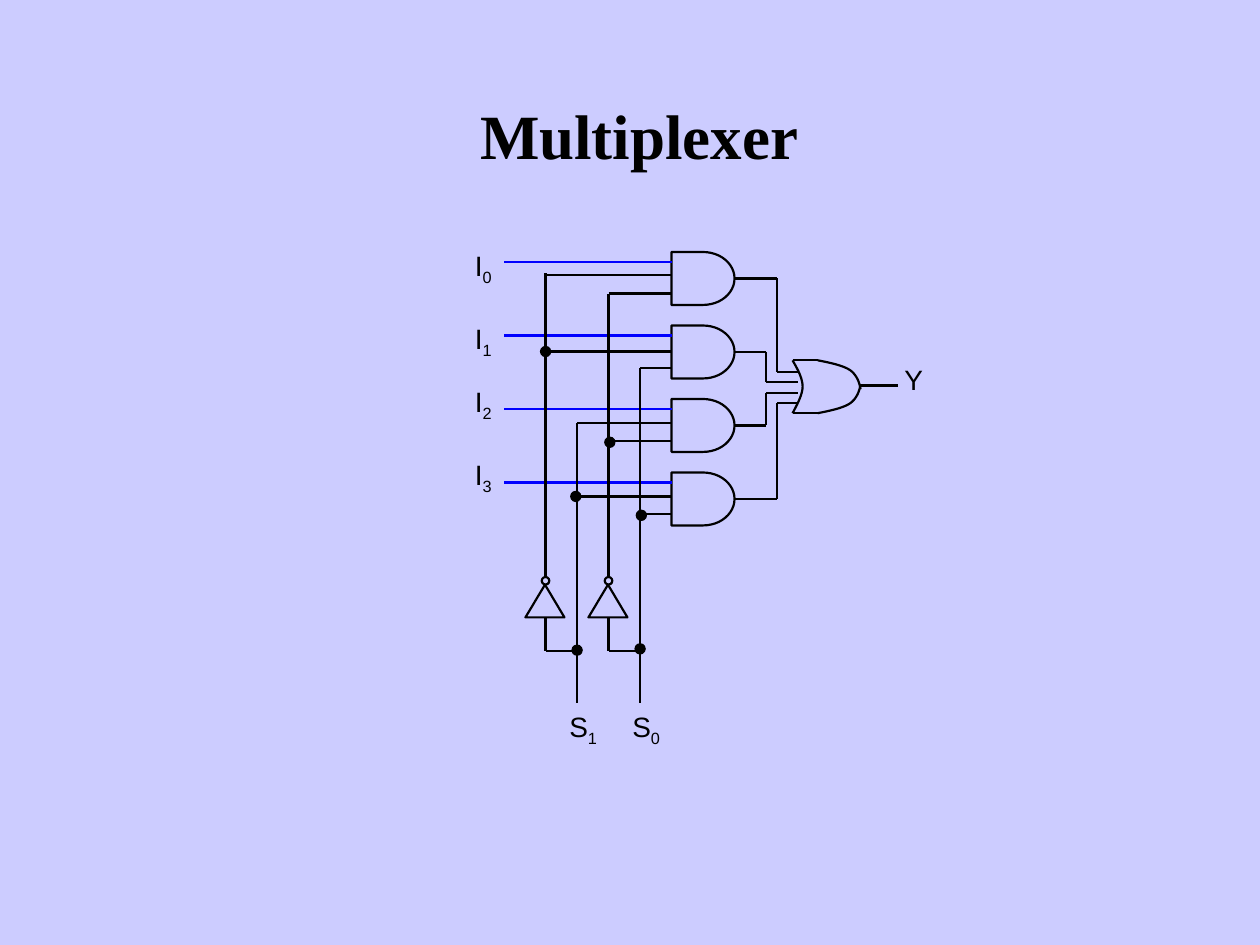
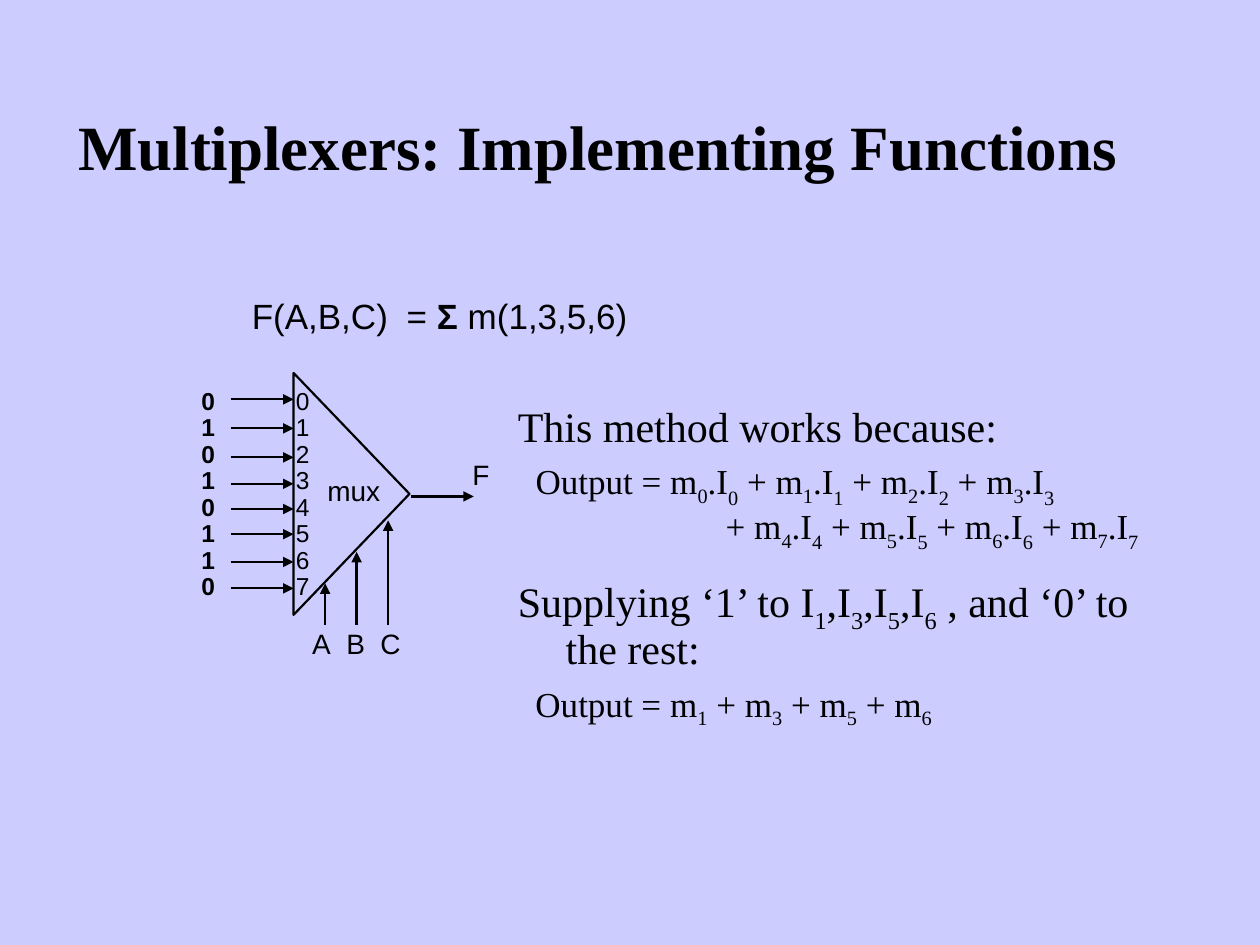
"""Build two slides on multiplexers: the gate circuit and a function built with one."""
from dataclasses import dataclass, field
from typing import Any, NamedTuple

from lxml.etree import SubElement
from pptx import Presentation
from pptx.dml.color import RGBColor
from pptx.enum.shapes import MSO_CONNECTOR as Link, MSO_SHAPE as Geo
from pptx.enum.text import MSO_ANCHOR as Anchor, MSO_AUTO_SIZE as Fit, PP_ALIGN as Align
from pptx.oxml.ns import qn
from pptx.util import Inches, Pt


class Style(NamedTuple):
    size: float
    face: str
    bold: bool = False


@dataclass(frozen=True)
class Theme:
    back: RGBColor = RGBColor(0xCC, 0xCC, 0xFF)
    ink: RGBColor = RGBColor(0, 0, 0)
    data: RGBColor = RGBColor(0, 0, 0xFF)
    wire: float = 1.25
    dot: float = 0.75
    title: Style = Style(36, "Times New Roman", True)
    point: Style = Style(24, "Times New Roman")
    equation: Style = Style(20, "Times New Roman")
    formula: Style = Style(20, "Arial")
    sigma: Style = Style(20, "Arial", True)
    label: Style = Style(16, "Arial")
    index: Style = Style(14, "Arial")
    value: Style = Style(14, "Arial", True)


THEME = Theme()
SUBSCRIPTS = {"_": "-25000", "~": "-30000"}


class Box(NamedTuple):
    x: float
    y: float
    w: float
    h: float


class Wire(NamedTuple):
    x1: float
    y1: float
    x2: float
    y2: float


class Label(NamedTuple):
    text: str
    box: Box


@dataclass(frozen=True)
class Para:
    text: str
    style: Style
    left: float = 0
    indent: float = 0
    fmt: dict[str, Any] = field(default_factory=dict)


def apply(target: Any, values: dict[str, Any]) -> None:
    """Set each named attribute on the target."""
    for name, value in values.items():
        setattr(target, name, value)


def place(shape: Any, box: Box) -> None:
    """Move and size a shape."""
    apply(shape, dict(zip(("left", "top", "width", "height"), map(Inches, box))))


def add_run(p: Any, text: str, style: Style, baseline: str = "") -> None:
    """Add one formatted run, skipping empty text."""
    if not text:
        return
    r = p.add_run()
    r.text = text
    apply(r.font, {"size": Pt(style.size), "name": style.face, "bold": style.bold})
    r.font.color.rgb = THEME.ink
    if baseline:
        r.font._element.set("baseline", baseline)


def add_marked(p: Any, text: str, style: Style) -> None:
    """Add text in which a mark lowers the next character and a newline breaks the line."""
    for number, line in enumerate(text.split("\n")):
        if number:
            p.add_line_break()
        for mark in SUBSCRIPTS:
            line = line.replace(mark, f"|{mark}")
        for chunk in line.split("|"):
            if chunk[:1] in SUBSCRIPTS:
                add_run(p, chunk[1], style, SUBSCRIPTS[chunk[0]])
                chunk = chunk[2:]
            add_run(p, chunk, style)


def add_tabs(p: Any, stops: tuple[float, ...]) -> None:
    """Give a paragraph left tab stops."""
    tabs = SubElement(p._p.get_or_add_pPr(), qn("a:tabLst"))
    for stop in stops:
        SubElement(tabs, qn("a:tab"), pos=str(Inches(stop)), algn="l")


def fill_frame(tf: Any, paras: list[Para]) -> None:
    """Write paragraphs into a text frame."""
    for i, para in enumerate(paras):
        p = tf.add_paragraph() if i else tf.paragraphs[0]
        ppr = p._p.get_or_add_pPr()
        ppr.set("marL", str(Inches(para.left)))
        ppr.set("indent", str(Inches(para.indent)))
        SubElement(ppr, qn("a:buNone"))
        apply(p, {"space_before": Pt(0), **para.fmt})
        add_marked(p, para.text, para.style)


def add_box(s: Any, box: Box) -> Any:
    """Add a wrapping text box that grows and return its frame."""
    tf = s.shapes.add_textbox(*map(Inches, box)).text_frame
    apply(tf, {"word_wrap": True, "auto_size": Fit.SHAPE_TO_FIT_TEXT})
    return tf


def add_label(s: Any, label: Label) -> Any:
    """Add a one-line label and return its paragraph."""
    tf = add_box(s, label.box)
    add_marked(tf.paragraphs[0], label.text, THEME.label)
    return tf.paragraphs[0]


def add_shape(s: Any, geo: Geo, box: Box, solid: bool = False, turn: float = 0) -> Any:
    """Add an outlined preset shape, filled with ink if solid."""
    sp = s.shapes.add_shape(geo, *map(Inches, box))
    sp.rotation = turn
    outline(sp, THEME.dot if solid else THEME.wire)
    if solid:
        sp.fill.solid()
        sp.fill.fore_color.rgb = THEME.ink
    return sp


def outline(sp: Any, width: float) -> None:
    """Leave only an ink outline on a shape."""
    sp.shadow.inherit = False
    sp.fill.background()
    sp.line.color.rgb = THEME.ink
    sp.line.width = Pt(width)


def add_wire(s: Any, wire: Wire, color: RGBColor = THEME.ink, arrow: bool = False) -> Any:
    """Add a straight connector, with an arrowhead at its end if asked."""
    cx = s.shapes.add_connector(Link.STRAIGHT, *map(Inches, wire))
    cx.line.color.rgb = color
    cx.line.width = Pt(THEME.wire)
    props = cx._element.spPr
    if arrow:
        SubElement(props.find(qn("a:ln")), qn("a:tailEnd"), type="triangle")
    SubElement(props, qn("a:effectLst"))
    return cx


def add_curve(s: Any, *points: tuple[float, float], steps: int = 10) -> None:
    """Draw chained cubic curves through a start point and triples of points."""
    track = []
    for k in range(0, len(points) - 1, 3):
        for n in range(1, steps + 1):
            t = n / steps
            weights = ((1 - t) ** 3, 3 * t * (1 - t) ** 2, 3 * t * t * (1 - t), t ** 3)
            track.append(tuple(
                Inches(sum(w * pt[axis] for w, pt in zip(weights, points[k:k + 4])))
                for axis in (0, 1)))
    builder = s.shapes.build_freeform(*map(Inches, points[0]))
    builder.add_line_segments(track, close=False)
    outline(builder.convert_to_shape(), THEME.wire)


def add_slide(prs: Any, layout: int, box: Box, title: Para) -> Any:
    """Add a slide with its title placed and formatted."""
    s = prs.slides.add_slide(prs.slide_layouts[layout])
    place(s.shapes.title, box)
    tf = s.shapes.title.text_frame
    apply(tf, {"vertical_anchor": Anchor.BOTTOM, "auto_size": Fit.NONE, "word_wrap": True})
    fill_frame(tf, [title])
    return s


def draw_or_gate(s: Any) -> None:
    """Draw the output gate, its lower half mirroring the upper."""
    top, bottom = 2.86, 3.28
    add_curve(s, (6.29, top), (6.33, 2.93), (6.37, 3), (6.37, 3.07),
              (6.37, 3.14), (6.31, 3.24), (6.29, bottom))
    nose = [(6.49, top), (6.59, 2.88), (6.69, 2.9), (6.75, 2.94),
            (6.8, 2.98), (6.82, 3.03), (6.83, 3.09)]
    add_curve(s, *nose)
    add_curve(s, *((x, top + bottom - y) for x, y in nose))
    for y in (top, bottom):
        add_wire(s, Wire(6.29, y, 6.49, y))


def build_circuit(prs: Any) -> None:
    """Build the four-input multiplexer circuit."""
    s = add_slide(prs, 5, Box(1.08, 0.17, 8.5, 1.25),
                  Para("Multiplexer", THEME.title, left=2.63, fmt={"alignment": Align.LEFT}))
    gate_x, gate_w, gate_h = 5.33, 0.5, 0.42
    label_tops = (1.92, 2.5, 3, 3.58)
    bends = ((6.17, 2.95), (6.08, 3.03), (6.08, 3.12), (6.17, 3.2))
    for i, (label_y, (bend_x, or_y)) in enumerate(zip(label_tops, bends)):
        top = 2 + i * 7 / 12
        out_y = top + gate_h / 2
        gate = add_shape(s, Geo.FLOWCHART_DELAY, Box(gate_x, top, gate_w, gate_h))
        add_wire(s, Wire(4, top + 0.08, gate_x, top + 0.08), THEME.data)
        add_wire(s, Wire(gate_x + gate_w, out_y, bend_x, out_y)).begin_connect(gate, 3)
        add_wire(s, Wire(bend_x, out_y, bend_x, or_y))
        add_wire(s, Wire(bend_x, or_y, 6.33, or_y))
        add_label(s, Label(f"I_{i}", Box(3.67, label_y, 0.42, 0.41)))

    not_s1, s1, not_s0, s0 = 4.33, 4.58, 4.83, 5.08
    taps = ((not_s1, 2.18), (not_s0, 2.33), (not_s1, 2.79), (s0, 2.92),
            (s1, 3.36), (not_s0, 3.5), (s1, 3.94), (s0, 4.08))
    for x, y in taps:
        add_wire(s, Wire(x, y, gate_x, y))
    for inverted, direct, high, direct_high in ((not_s1, s1, 2.17, 3.36), (not_s0, s0, 2.33, 2.92)):
        add_wire(s, Wire(inverted, high, inverted, 4.58))
        add_wire(s, Wire(direct, direct_high, direct, 5.58))
        add_wire(s, Wire(inverted, 4.9, inverted, 5.17))
        add_wire(s, Wire(inverted, 5.17, direct, 5.17))
        add_shape(s, Geo.FLOWCHART_MERGE, Box(inverted - 0.16, 4.64, 0.31, 0.26), turn=180)
        add_shape(s, Geo.OVAL, Box(inverted - 0.03, 4.58, 0.06, 0.06))
    for x, y in ((4.29, 2.75), (4.8, 3.47), (4.53, 3.9), (5.05, 4.05), (4.54, 5.12), (5.04, 5.11)):
        add_shape(s, Geo.OVAL, Box(x, y, 0.08, 0.08), solid=True)

    draw_or_gate(s)
    add_wire(s, Wire(6.83, 3.06, 7.13, 3.06))
    for label in (Label("S_1", Box(4.42, 5.58, 0.5, 0.41)),
                  Label("S_0", Box(4.92, 5.58, 0.54, 0.41)),
                  Label("Y", Box(7.08, 2.83, 0.42, 0.37))):
        add_label(s, label)


def build_function(prs: Any) -> None:
    """Build the slide that implements a function with a multiplexer."""
    s = add_slide(prs, 1, Box(0.08, 0.25, 9.33, 1.25),
                  Para("Multiplexers: Implementing Functions", THEME.title,
                       fmt={"alignment": Align.CENTER}))
    body = s.placeholders[1]
    place(body, Box(4.01, 3.17, 5.33, 2.92))
    body.text_frame.auto_size = Fit.NONE
    terms = [f"m_{i}.I~{i}" for i in range(8)]
    full_sum = "Output = " + " + ".join(terms[:4]) + "\n+ " + " + ".join(terms[4:])
    tight = {"line_spacing": 0.9}
    after_point = {**tight, "space_before": Pt(5)}
    fill_frame(body.text_frame, [
        Para("This method works because:", THEME.point, 0.38, -0.38, tight),
        Para(full_sum, THEME.equation, 1.65, -1.51, after_point),
        Para("Supplying ‘1’ to I~1,I~3,I~5,I~6 , and ‘0’ to the rest:", THEME.point,
             0.38, -0.38, {**tight, "space_before": Pt(15)}),
        Para("Output = m_1 + m_3 + m_5 + m_6", THEME.equation, 0.38, -0.24, after_point),
    ])

    p = add_box(s, Box(1.9, 2.29, 3.43, 0.44)).paragraphs[0]
    add_tabs(p, (1.23,))
    for text, style in (("F(A,B,C)\t= ", THEME.formula), ("Σ", THEME.sigma),
                        (" m(1,3,5,6)", THEME.formula)):
        add_run(p, text, style)

    add_shape(s, Geo.ISOSCELES_TRIANGLE, Box(1.83, 3.46, 1.92, 0.92), turn=90)
    for y in (3.17, 3.4, 3.63, 3.84, 4.04, 4.24, 4.46, 4.67):
        add_wire(s, Wire(1.83, y, 2.33, y), arrow=True)
    for i in range(3):
        x = 2.58 + i * 0.25
        add_wire(s, Wire(x, 4.96, x, 4.63 - i * 0.25), arrow=True)
    add_wire(s, Wire(3.26, 3.94, 3.76, 3.94), arrow=True)
    for x, digits, style in ((1.5, "01010110", THEME.value), (2.25, "01234567", THEME.index)):
        fill_frame(add_box(s, Box(x, 3.04, 0.42, 1.78)),
                   [Para(digit, style, fmt=tight) for digit in digits])
    add_label(s, Label("mux", Box(2.5, 3.71, 0.75, 0.37)))
    add_label(s, Label("F", Box(3.65, 3.58, 0.4, 0.37)))
    add_tabs(add_label(s, Label("A\tB\tC", Box(2.38, 4.92, 1, 0.37))), (0.27, 0.54))


def main() -> None:
    """Build and save the presentation."""
    prs = Presentation()
    apply(prs, {"slide_width": Inches(10), "slide_height": Inches(7.5)})
    fill = prs.slide_master.background.fill
    fill.solid()
    fill.fore_color.rgb = THEME.back
    build_circuit(prs)
    build_function(prs)
    prs.save("out.pptx")


if __name__ == "__main__":
    main()
